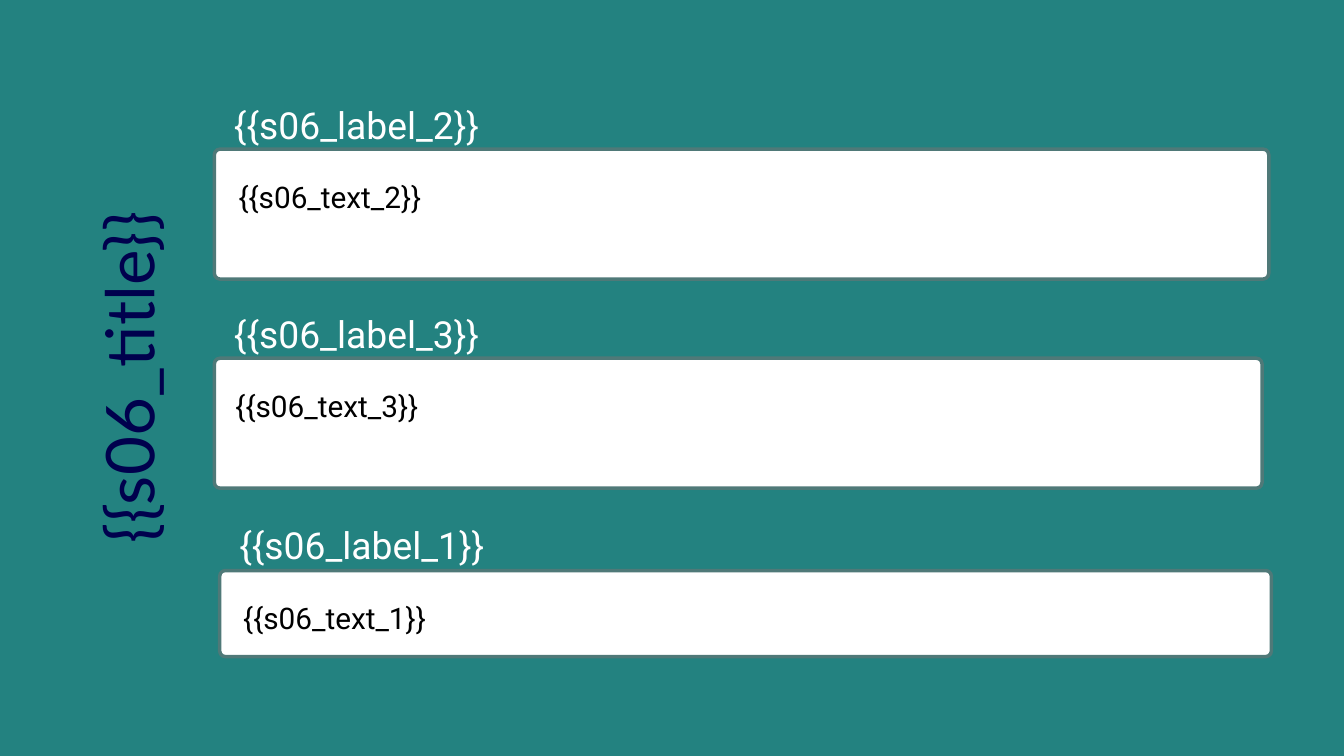
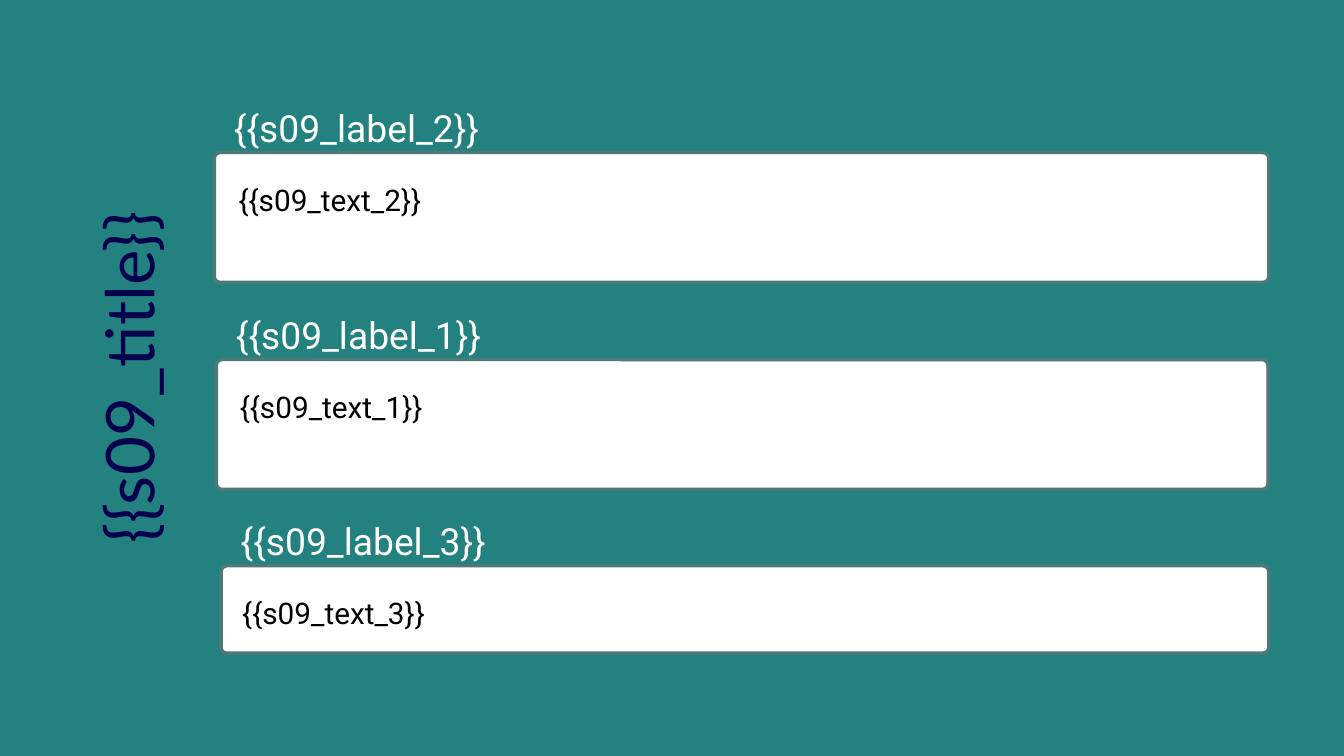
"""Build two teal slides, each with a sideways title and three labelled panels."""
from dataclasses import dataclass

from pptx import Presentation
from pptx.dml.color import RGBColor
from pptx.enum import shapes, text
from pptx.util import Pt


@dataclass(frozen=True)
class TextStyle:
    font: str
    size: float
    leading: float
    color: RGBColor
    align: text.PP_ALIGN = text.PP_ALIGN.LEFT


@dataclass(frozen=True)
class Theme:
    background: RGBColor = RGBColor(0x23, 0x82, 0x80)
    panel: RGBColor = RGBColor(0xFF, 0xFF, 0xFF)
    border: RGBColor = RGBColor(0x4F, 0x79, 0x78)
    border_width: float = 3.75
    corner: float = 6
    title: TextStyle = TextStyle(
        "Lato", 72, 98.9, RGBColor(0x00, 0x00, 0x4D), text.PP_ALIGN.CENTER)
    label: TextStyle = TextStyle("Roboto", 39.9, 55.8, RGBColor(0xFF, 0xFF, 0xFF))
    body: TextStyle = TextStyle("Roboto", 31.9, 44.6, RGBColor(0, 0, 0))


@dataclass(frozen=True)
class Box:
    left: float
    top: float
    width: float
    height: float

    def lengths(self) -> tuple:
        return Pt(self.left), Pt(self.top), Pt(self.width), Pt(self.height)


@dataclass(frozen=True)
class Panel:
    number: int
    box: Box
    text_inset: float
    label_width: float
    label_rise: float = 58.3


THEME = Theme()
TITLE_BOX = Box(-64.8, 344.9, 411.1, 119.5)
LABEL_INSET, LABEL_HEIGHT = 21, 52.6
TEXT_DROP, TEXT_TRIM_X, TEXT_TRIM_Y = 25.2, 46, 52

SLIDES = {
    "s06": [
        Panel(1, Box(235.4, 611.3, 1126.8, 92.2), 25.2, 493.2, 59.8),
        Panel(2, Box(229.7, 159.8, 1129.7, 139.2), 25.9, 414),
        Panel(3, Box(229.7, 383.8, 1122.5, 139.2), 22.6, 290.9),
    ],
    "s09": [
        Panel(1, Box(231.8, 385.2, 1126.8, 139.2), 25.2, 741.6),
        Panel(2, Box(229.7, 163.4, 1129.7, 139.2), 25.9, 571.7),
        Panel(3, Box(236.9, 606.2, 1122.5, 93.6), 22.6, 609.1),
    ],
}


def add_text(s, box: Box, words: str, style: TextStyle, rotation: float = 0) -> None:
    sp = s.shapes.add_textbox(*box.lengths())
    sp.rotation = rotation
    tf = sp.text_frame
    tf.word_wrap = True
    tf.margin_left = tf.margin_right = tf.margin_top = tf.margin_bottom = 0
    p = tf.paragraphs[0]
    p.alignment = style.align
    p.line_spacing = Pt(style.leading)
    r = p.add_run()
    r.text = words
    r.font.name = style.font
    r.font.size = Pt(style.size)
    r.font.color.rgb = style.color


def add_panel(s, prefix: str, panel: Panel) -> None:
    box = panel.box
    sp = s.shapes.add_shape(shapes.MSO_SHAPE.ROUNDED_RECTANGLE, *box.lengths())
    sp.adjustments[0] = THEME.corner / box.height
    sp.shadow.inherit = False
    sp.fill.solid()
    sp.fill.fore_color.rgb = THEME.panel
    sp.line.color.rgb = THEME.border
    sp.line.width = Pt(THEME.border_width)

    text_box = Box(box.left + panel.text_inset, box.top + TEXT_DROP,
                   box.width - TEXT_TRIM_X, box.height - TEXT_TRIM_Y)
    label_box = Box(box.left + LABEL_INSET, box.top - panel.label_rise,
                    panel.label_width, LABEL_HEIGHT)
    add_text(s, text_box, f"{{{{{prefix}_text_{panel.number}}}}}", THEME.body)
    add_text(s, label_box, f"{{{{{prefix}_label_{panel.number}}}}}", THEME.label)


def add_slide(prs, prefix: str, panels: list[Panel]) -> None:
    s = prs.slides.add_slide(prs.slide_layouts[6])
    s.background.fill.solid()
    s.background.fill.fore_color.rgb = THEME.background
    add_text(s, TITLE_BOX, f"{{{{{prefix}_title}}}}", THEME.title, rotation=270)
    for panel in panels:
        add_panel(s, prefix, panel)


def main() -> None:
    prs = Presentation()
    prs.slide_width, prs.slide_height = Pt(1440), Pt(810)
    for prefix, panels in SLIDES.items():
        add_slide(prs, prefix, panels)
    prs.save("out.pptx")


if __name__ == "__main__":
    main()
